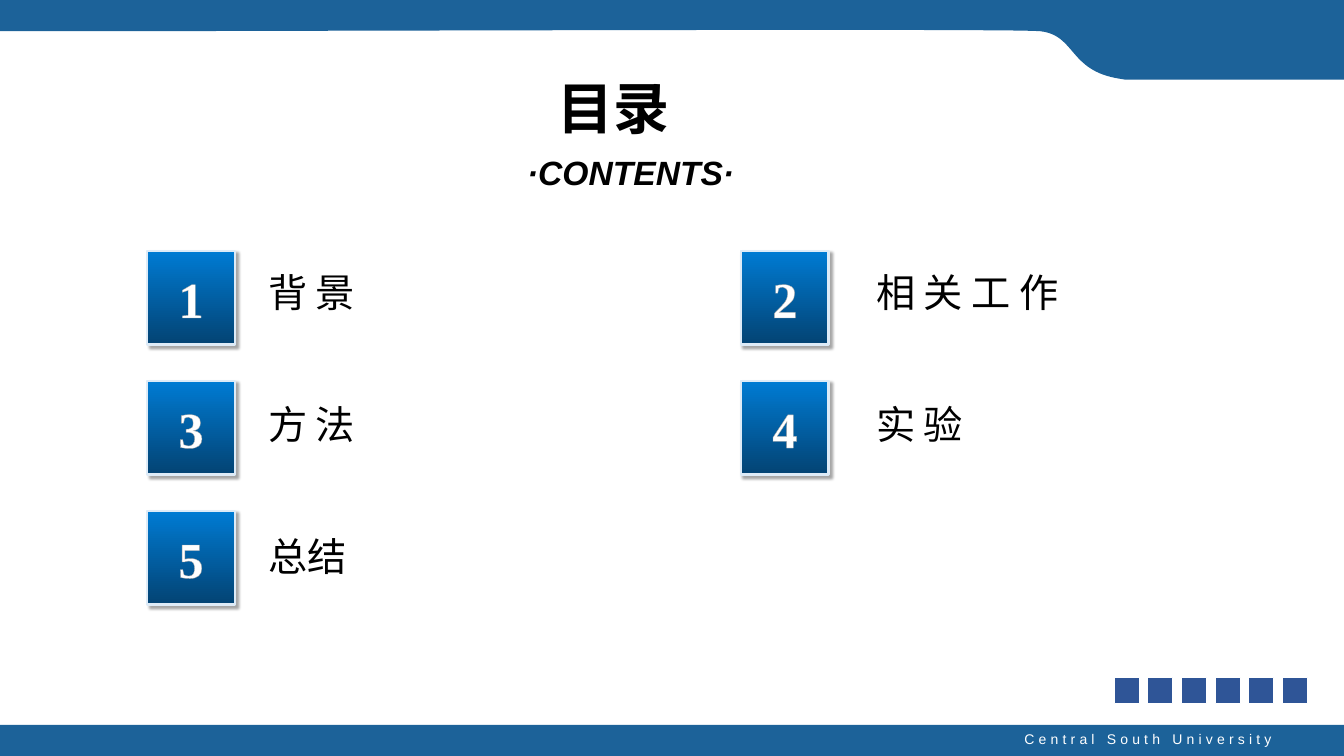
from lxml import etree
from pptx import Presentation
from pptx.dml.color import RGBColor
from pptx.enum.shapes import MSO_SHAPE
from pptx.enum.text import MSO_ANCHOR, PP_ALIGN
from pptx.oxml import parse_xml
from pptx.oxml.ns import nsdecls, qn
from pptx.util import Inches, Pt

RECTANGLE = MSO_SHAPE.RECTANGLE
LEFT, CENTER, RIGHT = PP_ALIGN.LEFT, PP_ALIGN.CENTER, PP_ALIGN.RIGHT
JUSTIFY = PP_ALIGN.JUSTIFY
TOP, MIDDLE = MSO_ANCHOR.TOP, MSO_ANCHOR.MIDDLE

TITLE = "目录"
SUBTITLE = "·CONTENTS·"
FOOTER = "Central South University"
TOPICS = ["背 景", "相 关 工 作", "方 法", "实 验", "总结"]

COLORS = {
    "band": "1C6299", "tile_top": "007BD3", "tile_bottom": "034373",
    "tile_edge": "DEEBF7", "digit_edge": "A6A6A6", "square": "2F5597",
    "ink": "000000", "paper": "FFFFFF",
}
LATIN, HAN, DIGIT = "Arial", "Noto Sans CJK SC", "Times New Roman"

WIDTH, HEIGHT = 13.33, 7.5
COLUMNS = 2
TILE_COLUMNS, LABEL_COLUMNS = (1.46, 7.35), (2.56, 8.59)
TILE_TOP, TILE_STEP, TILE_SIZE = 2.49, 1.29, (0.87, 0.93)
LABEL_TOP, LABEL_STEP, LABEL_SIZE = 2.61, 1.31, (2.72, 0.74)
SQUARE_COUNT, SQUARE_LEFT, SQUARE_RIGHT = 6, 11.05, 12.72
SQUARE_STEP = (SQUARE_RIGHT - SQUARE_LEFT) / (SQUARE_COUNT - 1)
FOOTER_HEIGHT = 0.31

BANNER_START = [(0, 0), (WIDTH, 0), (WIDTH, 0.79), (11.16, 0.79), (11.1, 0.78)]
BANNER_CURVES = [
    [(11.1, 0.78), (10.6, 0.7), (10.67, 0.35), (10.32, 0.31)],
    [(10.32, 0.31), (9.97, 0.28), (3.44, 0.31), (0, 0.31)],
]
CURVE_STEPS = 32


def rgb(name):
    return RGBColor.from_string(COLORS[name])


def curve_points(controls):
    """Points along a cubic Bezier curve, without its first one."""
    points = []
    for step in range(1, CURVE_STEPS + 1):
        t = step / CURVE_STEPS
        weights = ((1 - t) ** 3, 3 * t * (1 - t) ** 2, 3 * t ** 2 * (1 - t), t ** 3)
        points.append(tuple(sum(w * point[axis] for w, point in zip(weights, controls))
                            for axis in (0, 1)))
    return points


def paint(shape, fill, edge=None, edge_width=0.75):
    shape.shadow.inherit = False
    shape.fill.solid()
    shape.fill.fore_color.rgb = rgb(fill)
    if edge:
        shape.line.color.rgb = rgb(edge)
        shape.line.width = Pt(edge_width)
    else:
        shape.line.fill.background()


def add_rectangle(slide, left, top, width, height):
    return slide.shapes.add_shape(
        RECTANGLE, Inches(left), Inches(top), Inches(width), Inches(height))


def write(shape, text, size, font, color="ink", align=LEFT, anchor=TOP,
          wrap=True, bold=False, italic=False):
    """Fill the shape with one run of text and return the run's properties."""
    frame = shape.text_frame
    frame.word_wrap = wrap
    frame.vertical_anchor = anchor
    paragraph = frame.paragraphs[0]
    paragraph.alignment = align
    run = paragraph.add_run()
    run.text = text
    run.font.size = Pt(size)
    run.font.name = font
    run.font.bold = bold
    run.font.italic = italic
    run.font.color.rgb = rgb(color)
    properties = run.font._element
    east_asian = etree.SubElement(properties, qn("a:ea"))
    east_asian.set("typeface", HAN)
    return properties


def add_text(slide, box, *args, **style):
    textbox = slide.shapes.add_textbox(*(Inches(length) for length in box))
    return write(textbox, *args, **style)


def add_banner(slide):
    outline = BANNER_START + [p for curve in BANNER_CURVES for p in curve_points(curve)]
    points = [(Inches(x), Inches(y)) for x, y in outline]
    builder = slide.shapes.build_freeform(*points[0])
    builder.add_line_segments(points[1:], close=True)
    paint(builder.convert_to_shape(), "band")


def add_tile(slide, left, top, number):
    """A numbered square with a gradient and a soft shadow."""
    tile = add_rectangle(slide, left, top, *TILE_SIZE)
    paint(tile, "band", "tile_edge", 1.75)
    tile.fill.gradient()
    tile.fill.gradient_angle = 270
    for stop, color, position in zip(tile.fill.gradient_stops,
                                     ("tile_top", "tile_bottom"), (0, 1)):
        stop.color.rgb = rgb(color)
        stop.position = position
    effects = tile._element.spPr.find(qn("a:effectLst"))
    effects.append(parse_xml(
        f'<a:outerShdw {nsdecls("a")} blurRad="{Pt(2)}" dist="{Pt(3)}" dir="2700000" '
        f'algn="tl" rotWithShape="0"><a:srgbClr val="{COLORS["ink"]}">'
        '<a:alpha val="35000"/></a:srgbClr></a:outerShdw>'))
    properties = write(tile, str(number), 36, DIGIT, "paper", CENTER, MIDDLE,
                       wrap=False, bold=True)
    properties.insert(0, parse_xml(
        f'<a:ln {nsdecls("a")} w="{Pt(0.75)}"><a:solidFill>'
        f'<a:srgbClr val="{COLORS["digit_edge"]}"/></a:solidFill></a:ln>'))


def main():
    deck = Presentation()
    deck.slide_width, deck.slide_height = Inches(WIDTH), Inches(HEIGHT)
    slide = deck.slides.add_slide(deck.slide_layouts[6])

    add_banner(slide)
    paint(add_rectangle(slide, 0, HEIGHT - FOOTER_HEIGHT, WIDTH, FOOTER_HEIGHT), "band")
    footer = add_text(slide, (9.99, 7.2, 2.72, 0.27), FOOTER, 10, LATIN, "paper",
                      RIGHT, wrap=False)
    footer.set("spc", "300")
    add_text(slide, (5.43, 0.68, 1.65, 0.77), TITLE, 40, LATIN, align=JUSTIFY, bold=True)
    add_text(slide, (4.78, 1.46, 2.95, 0.5), SUBTITLE, 24, LATIN, align=CENTER,
             bold=True, italic=True)

    for index, topic in enumerate(TOPICS):
        row, column = divmod(index, COLUMNS)
        add_tile(slide, TILE_COLUMNS[column], TILE_TOP + row * TILE_STEP, index + 1)
        label_box = (LABEL_COLUMNS[column], LABEL_TOP + row * LABEL_STEP, *LABEL_SIZE)
        add_text(slide, label_box, topic, 28, HAN)

    for index in range(SQUARE_COUNT):
        square = add_rectangle(slide, SQUARE_LEFT + index * SQUARE_STEP, 6.72, 0.25, 0.26)
        paint(square, "square", "paper")

    deck.save("out.pptx")


if __name__ == "__main__":
    main()
